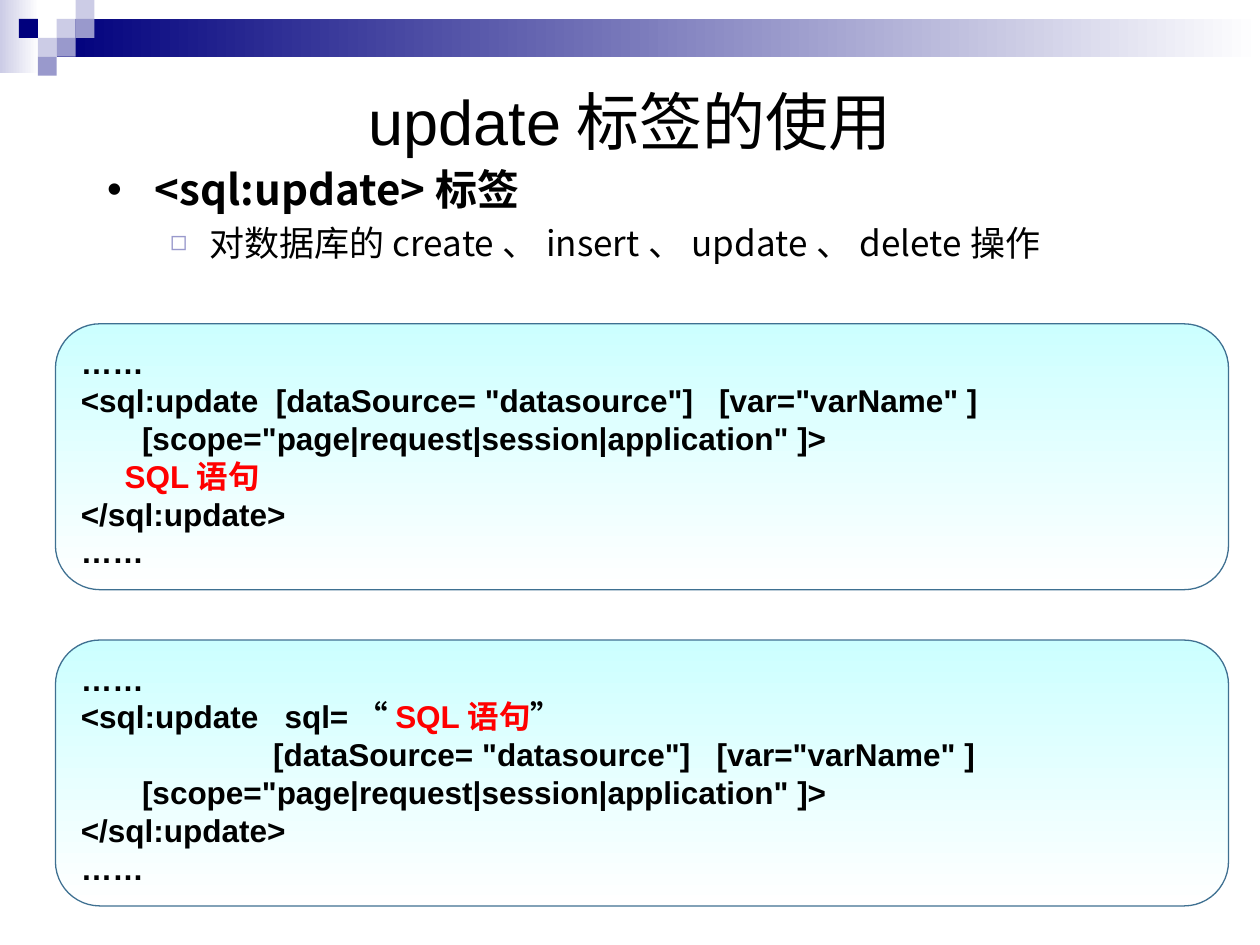
from lxml import etree
from pptx import Presentation, util as u
from pptx.dml.color import RGBColor
from pptx.enum import shapes, text
from pptx.oxml.ns import qn

# Content
COLOURS = {"navy": "00007D", "mid": "9999CC", "pale": "CCCCE6", "white": "FFFFFF",
           "black": "000000", "red": "FF0000", "cyan": "CCFFFF", "edge": "3F7091"}
LATIN, CJK = "Arial", "Noto Sans CJK SC"
TITLE = "update标签的使用"
# text, level, size, bold, left margin, hanging indent, space before, bullet, bullet colour, bullet %
BULLETS = [
    ("<sql:update>标签", 0, 24, True, 0.38, 0.38, 0, "•", "black", 100),
    ("对数据库的create、insert、update、delete操作", 1, 20, False, 0.81, 0.31, 4,
     "◻", "mid", 80),
]
# Each code box is a list of paragraphs; each paragraph is a list of (text, colour)
SOURCE = '[dataSource= "datasource"]   [var="varName" ]'
SCOPE = '\v       [scope="page|request|session|application" ]>'
SQL = ("SQL语句", "red")
DOTS, CLOSE = [("……", "black")], [("</sql:update>", "black")]
CODE_BOXES = [
    [DOTS, [("<sql:update  " + SOURCE + SCOPE, "black")],
     [("     ", "black"), SQL], CLOSE, DOTS],
    [DOTS, [("<sql:update   sql=“", "black"), SQL, ("”", "black")],
     [(" " * 22 + SOURCE + SCOPE, "black")], CLOSE, DOTS],
]
# Header squares: column, row, colour
UNIT = 0.15
SQUARES = [(3, 1, "pale"), (4, 0, "pale"), (4, 1, "mid"), (2, 2, "pale"),
           (1, 1, "navy"), (3, 2, "mid"), (2, 3, "mid")]
BOX_LEFT, BOX_TOP, BOX_W, BOX_H, BOX_STEP = 0.44, 2.57, 9.31, 2.11, 2.51


def rgb(name):
    return RGBColor.from_string(COLOURS[name])


def place(sp, *box):
    sp.left, sp.top, sp.width, sp.height = map(u.Inches, box)


def add_text(p, content, size=18, font=LATIN, colour="black", bold=False):
    for i, part in enumerate(content.split("\v")):
        if i:
            p.add_line_break()
        r = p.add_run()
        r.text = part
        r.font.size, r.font.name, r.font.bold = u.Pt(size), font, bold
        r.font.color.rgb = rgb(colour)
        ea = etree.SubElement(r._r.get_or_add_rPr(), qn("a:ea"))
        ea.set("typeface", CJK)


def add_block(s, box, colours, angle=0, kind=shapes.MSO_SHAPE.RECTANGLE, line=None):
    sp = s.shapes.add_shape(kind, *map(u.Inches, box))
    sp.shadow.inherit = False
    if len(colours) == 1:
        sp.fill.solid()
        sp.fill.fore_color.rgb = rgb(colours[0])
    else:
        sp.fill.gradient()
        sp.fill.gradient_angle = angle
        for stop, name in zip(sp.fill.gradient_stops, colours):
            stop.color.rgb = rgb(name)
    if line:
        sp.line.color.rgb = rgb(line)
        sp.line.width = u.Pt(0.75)
    else:
        sp.line.fill.background()
    return sp


def set_bullet(p, left, hang, char, colour, percent):
    pPr = p._p.get_or_add_pPr()
    pPr.set("marL", str(u.Inches(left)))
    pPr.set("indent", str(-u.Inches(hang)))
    clr = etree.SubElement(pPr, qn("a:buClr"))
    etree.SubElement(clr, qn("a:srgbClr")).set("val", COLOURS[colour])
    etree.SubElement(pPr, qn("a:buSzPct")).set("val", str(percent * 1000))
    etree.SubElement(pPr, qn("a:buFont")).set("typeface", LATIN)
    etree.SubElement(pPr, qn("a:buChar")).set("char", char)


def paragraphs(tf, items):
    for i, item in enumerate(items):
        yield (tf.add_paragraph() if i else tf.paragraphs[0]), item


def main():
    prs = Presentation()
    prs.slide_width, prs.slide_height = u.Inches(10), u.Inches(7.5)
    s = prs.slides.add_slide(prs.slide_layouts[1])

    # Header band and squares
    add_block(s, (0, 0, 0.31, 0.58), ("pale", "white"))
    add_block(s, (3 * UNIT, UNIT, 10 - 3 * UNIT, 2 * UNIT), ("navy", "white"))
    for col, row, colour in SQUARES:
        add_block(s, (col * UNIT, row * UNIT, UNIT, UNIT), (colour,))

    # Title
    title = s.shapes.title
    place(title, 0.75, 0.52, 8.5, 0.87)
    title.text_frame.auto_size = text.MSO_AUTO_SIZE.NONE
    title.text_frame.vertical_anchor = text.MSO_ANCHOR.MIDDLE
    p = title.text_frame.paragraphs[0]
    p.alignment = text.PP_ALIGN.CENTER
    add_text(p, TITLE, size=36)

    # Bullet list
    body = s.placeholders[1]
    place(body, 0.75, 1.25, 9, 1.11)
    body.text_frame.auto_size = text.MSO_AUTO_SIZE.NONE
    for p, item in paragraphs(body.text_frame, BULLETS):
        content, level, size, bold, left, hang, before, *bullet = item
        p.level = level
        set_bullet(p, left, hang, *bullet)
        p.space_before = u.Pt(before)
        add_text(p, content, size=size, font=CJK, bold=bold)

    # Code boxes
    for i, code in enumerate(CODE_BOXES):
        sp = add_block(s, (BOX_LEFT, BOX_TOP + i * BOX_STEP, BOX_W, BOX_H),
                       ("cyan", "white"), 270, shapes.MSO_SHAPE.ROUNDED_RECTANGLE, "edge")
        sp.adjustments[0] = 0.167
        tf = sp.text_frame
        tf.word_wrap = True
        tf.vertical_anchor = text.MSO_ANCHOR.MIDDLE
        for p, runs in paragraphs(tf, code):
            p.alignment = text.PP_ALIGN.LEFT
            for content, colour in runs:
                add_text(p, content, colour=colour, bold=True)

    prs.save("out.pptx")


if __name__ == "__main__":
    main()
